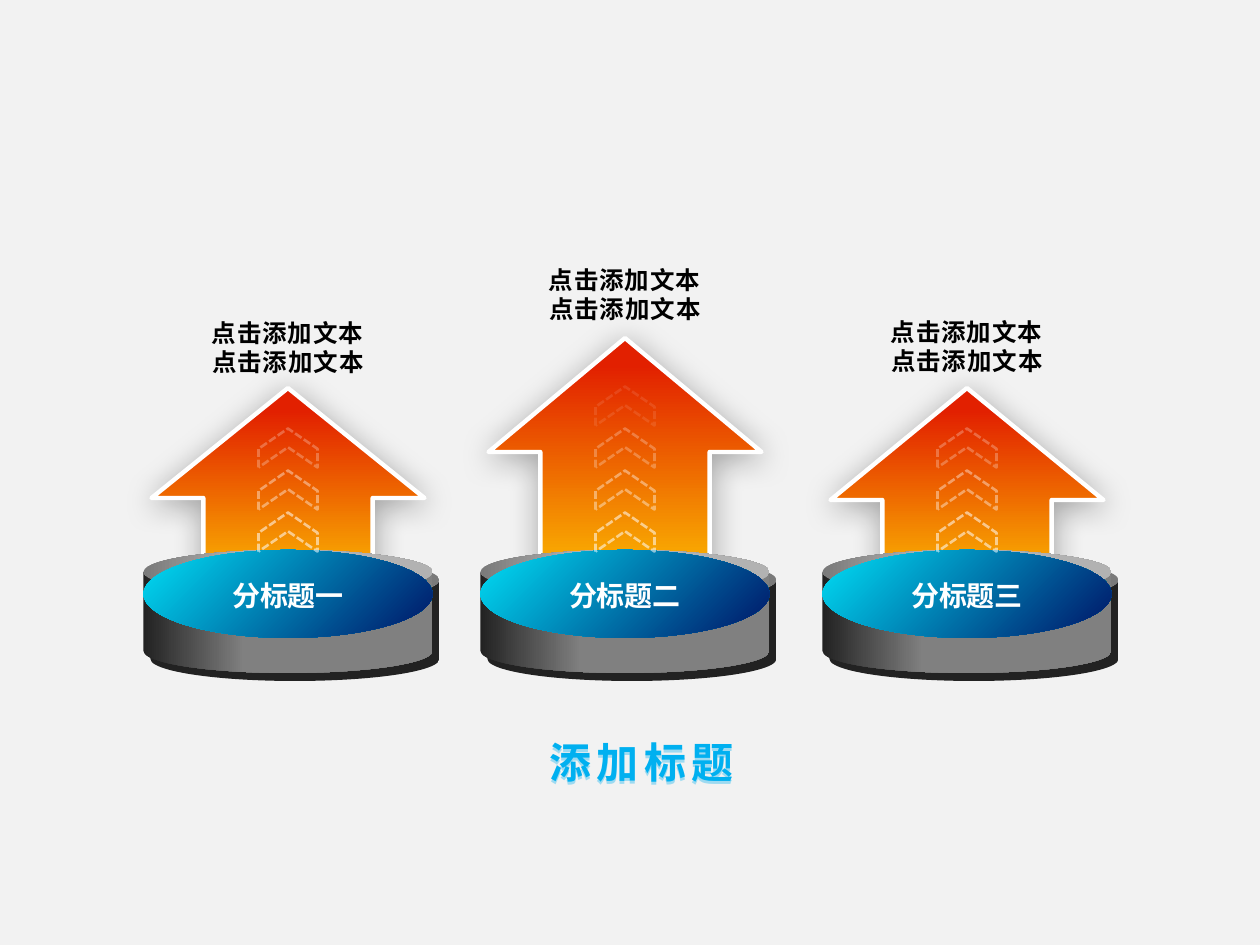
import lxml.etree
import pptx
import pptx.dml.color
import pptx.enum.dml
import pptx.enum.shapes
import pptx.enum.text
import pptx.oxml.ns
import pptx.util

PX_PER_INCH = 126
FONT = "Noto Sans CJK SC"
SHAPES = pptx.enum.shapes.MSO_SHAPE


def px(value):
    return pptx.util.Inches(value / PX_PER_INCH)


def color(hex_string):
    return pptx.dml.color.RGBColor.from_string(hex_string)


def add_element(parent, tag, **attributes):
    element = lxml.etree.SubElement(parent, pptx.oxml.ns.qn(tag))
    for key, value in attributes.items():
        element.set(key, str(value))
    return element


def add_preset(slide, preset, left, top, width, height):
    shape = slide.shapes.add_shape(preset, px(left), px(top), px(width), px(height))
    shape.shadow.inherit = False
    shape.line.fill.background()
    return shape


def fill_gradient(shape, angle, stops):
    shape.fill.gradient()
    shape.fill.gradient_angle = angle
    for stop, (position, hex_string) in zip(shape.fill.gradient_stops, stops):
        stop.position = position
        stop.color.rgb = color(hex_string)


def cast_shadow(shape, hex_string, alpha, blur, distance, direction):
    shape.shadow.inherit = False
    effects = shape._element.spPr.find(pptx.oxml.ns.qn("a:effectLst"))
    shadow = add_element(
        effects, "a:outerShdw", blurRad=int(pptx.util.Pt(blur)),
        dist=int(pptx.util.Pt(distance)), dir=direction * 60000,
        algn="ctr", rotWithShape=0)
    tint = add_element(shadow, "a:srgbClr", val=hex_string)
    add_element(tint, "a:alpha", val=alpha * 1000)


def write_text(shape, text, size, hex_string, spacing=0):
    frame = shape.text_frame
    frame_format = {
        "word_wrap": True,
        "auto_size": pptx.enum.text.MSO_AUTO_SIZE.NONE,
        "vertical_anchor": pptx.enum.text.MSO_ANCHOR.MIDDLE,
    }
    for key, value in frame_format.items():
        setattr(frame, key, value)
    paragraph = frame.paragraphs[0]
    paragraph.alignment = pptx.enum.text.PP_ALIGN.CENTER
    run = paragraph.add_run()
    run.text = text
    font_format = {"size": pptx.util.Pt(size), "bold": True, "name": FONT}
    for key, value in font_format.items():
        setattr(run.font, key, value)
    run.font.color.rgb = color(hex_string)
    properties = run._r.get_or_add_rPr()
    properties.set("spc", str(int(spacing * 100)))
    add_element(properties, "a:ea", typeface=FONT)


def add_label(slide, left, top, width, height, *text_format):
    label = slide.shapes.add_textbox(px(left), px(top), px(width), px(height))
    write_text(label, *text_format)


def add_arrow(slide, center, top, head):
    width, height = 273, 611 - top
    arrow = add_preset(slide, SHAPES.UP_ARROW, center - width / 2, top, width, height)
    arrow.adjustments[0] = 0.62
    arrow.adjustments[1] = head / min(width, height)
    fill_gradient(arrow, 90, [(0, "FFCF01"), (0.9, "E22000")])
    arrow.line.color.rgb = color("FFFFFF")
    arrow.line.width = pptx.util.Pt(2.5)
    cast_shadow(arrow, "000000", 33, 17.8, 3, 87)


def add_pedestal(slide, center, top):
    width, disc_height, depth = 289, 88, 35
    left, height = center - width / 2, disc_height + depth
    for offset_x, offset_y, rim in [(7, 8, "222222"), (0, 0, "808080")]:
        side = add_preset(slide, SHAPES.CAN, left + offset_x, top + offset_y, width, height)
        side.adjustments[0] = disc_height / 2 / height
        fill_gradient(side, 0, [(0, "222222"), (0.35, rim)])
    disc = add_preset(slide, SHAPES.OVAL, left, top, width, disc_height)
    fill_gradient(disc, 315, [(0, "00DFF6"), (0.9, "002774")])


def add_chevrons(slide, center, middle, count):
    width, height, pitch = 39, 59, 42
    for step in range(count):
        chevron = add_preset(slide, SHAPES.CHEVRON, center - width / 2,
                             middle - step * pitch - height / 2, width, height)
        chevron.adjustments[0] = 0.52
        chevron.rotation = 270
        chevron.fill.background()
        chevron.line.color.rgb = color("FFFFFF")
        chevron.line.width = pptx.util.Pt(1.5)
        chevron.line.dash_style = pptx.enum.dml.MSO_LINE.SQUARE_DOT
        dash = chevron.line._ln.find(pptx.oxml.ns.qn("a:prstDash"))
        dash.set("val", "sysDash")
        tint = chevron.line._ln.find(".//" + pptx.oxml.ns.qn("a:srgbClr"))
        add_element(tint, "a:alpha", val=(55 - 15 * step) * 1000)


def add_column(slide, center, arrow_top, head, chevron_count, subtitle, caption_top):
    add_arrow(slide, center, arrow_top, head)
    add_pedestal(slide, center, 550)
    add_label(slide, center - 107, 572, 214, 47, subtitle, 16, "FFFFFF")
    add_chevrons(slide, center, 532, chevron_count)
    add_label(slide, center - 98, caption_top, 196, 72,
              "点击添加文本点击添加文本", 14, "000000", 0.5)


def place_title(slide, left, top, width, height):
    title = slide.shapes.title
    box = {"left": left, "top": top, "width": width, "height": height}
    for key, value in box.items():
        setattr(title, key, px(value))
    write_text(title, "添加标题", 24, "00B0F0", 3)
    cast_shadow(title, "00B0F0", 35, 0, 2, 90)


def main():
    presentation = pptx.Presentation()
    presentation.slide_width = px(1260)
    presentation.slide_height = px(945)
    slide = presentation.slides.add_slide(presentation.slide_layouts[5])
    slide.background.fill.solid()
    slide.background.fill.fore_color.rgb = color("F2F2F2")
    columns = [
        (288, 388, 110, 3, "分标题一", 311),
        (625, 338, 114, 4, "分标题二", 258),
        (967, 388, 112, 3, "分标题三", 310),
    ]
    for column in columns:
        add_column(slide, *column)
    place_title(slide, 333, 730, 617, 63)
    presentation.save("out.pptx")


if __name__ == "__main__":
    main()
